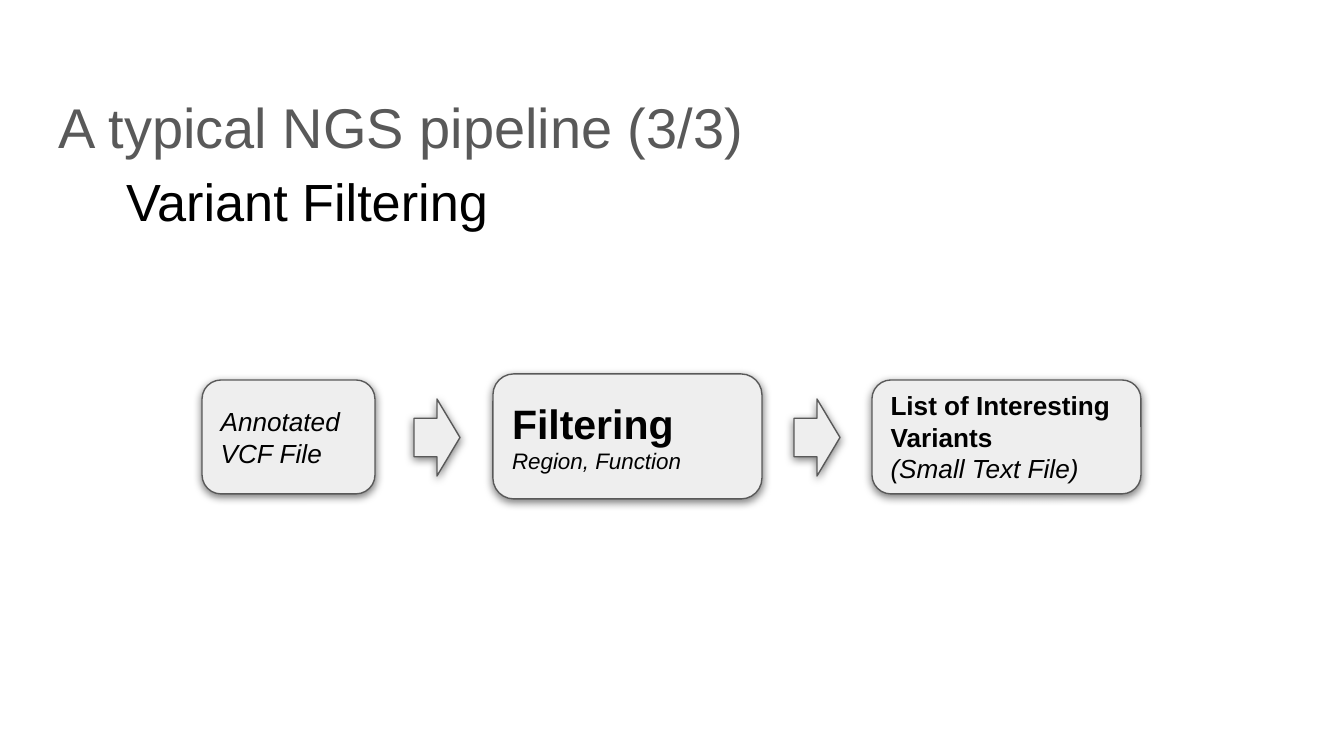
from dataclasses import dataclass
from lxml import etree
from pptx import Presentation
from pptx import util as u
from pptx.dml.color import RGBColor
from pptx.enum import shapes, text
from pptx.oxml import ns

PX = 914400 / 134.4


@dataclass(frozen=True)
class Theme:
    font: str = "Arial"
    ink: RGBColor = RGBColor(0, 0, 0)
    gray: RGBColor = RGBColor(0x59, 0x59, 0x59)
    fill: RGBColor = RGBColor(0xEE, 0xEE, 0xEE)
    title: int = 30
    subtitle: int = 28
    step: int = 22
    label: int = 14
    detail: int = 12


theme = Theme()


def px(value):
    return u.Emu(round(value * PX))


def add_block(page, kind, left, top, width, height):
    block = page.shapes.add_shape(kind, px(left), px(top), px(width), px(height))
    block.fill.solid()
    block.fill.fore_color.rgb = theme.fill
    block.line.color.rgb = theme.gray
    block.line.width = u.Pt(0.75)
    block.shadow.inherit = False
    effects = block._element.spPr.find(ns.qn("a:effectLst"))
    shadow = etree.SubElement(effects, ns.qn("a:outerShdw"), blurRad=str(u.Pt(4.5)),
                              dist=str(u.Pt(1.5)), dir="5400000", algn="bl", rotWithShape="0")
    color = etree.SubElement(shadow, ns.qn("a:srgbClr"), val=str(theme.ink))
    etree.SubElement(color, ns.qn("a:alpha"), val="50000")
    return block


deck = Presentation()
deck.slide_width, deck.slide_height = px(1344), px(756)
page = deck.slides.add_slide(deck.slide_layouts[5])

title = page.shapes.title
title.left, title.top, title.width, title.height = px(46), px(66), px(1253), px(183)
frame = title.text_frame
frame.word_wrap = True
frame.auto_size = text.MSO_AUTO_SIZE.NONE
frame.vertical_anchor = text.MSO_ANCHOR.MIDDLE
frame.margin_left = frame.margin_right = frame.margin_top = frame.margin_bottom = px(13)
para = frame.paragraphs[0]
para.alignment = text.PP_ALIGN.LEFT
para.line_spacing = 1.15
para.space_after = u.Pt(16)
para.font.name = theme.font
heading = [("A typical NGS pipeline (3/3)", theme.title, theme.gray),
           ("\tVariant Filtering", theme.subtitle, theme.ink)]
for index, (words, size, color) in enumerate(heading):
    if index:
        para.add_line_break()
    span = para.add_run()
    span.text = words
    span.font.size = u.Pt(size)
    span.font.color.rgb = color

stages = [
    (202, 380, 173, 114, [("Annotated VCF File", theme.label, False)]),
    (493, 374, 269, 125, [("Filtering", theme.step, True),
                          ("Region, Function", theme.detail, False)]),
    (872, 380, 269, 114, [("List of Interesting Variants", theme.label, True),
                          ("(Small Text File)", theme.label, False)]),
]
for left, top, width, height, lines in stages:
    box = add_block(page, shapes.MSO_SHAPE.ROUNDED_RECTANGLE, left, top, width, height)
    frame = box.text_frame
    frame.word_wrap = True
    frame.vertical_anchor = text.MSO_ANCHOR.MIDDLE
    frame.margin_left = frame.margin_right = frame.margin_top = frame.margin_bottom = px(13)
    para = frame.paragraphs[0]
    para.alignment = text.PP_ALIGN.LEFT
    para.font.name = theme.font
    para.font.color.rgb = theme.ink
    for index, (words, size, bold) in enumerate(lines):
        if index:
            para.add_line_break()
        span = para.add_run()
        span.text = words
        span.font.size = u.Pt(size)
        span.font.bold = bold
        span.font.italic = not bold

for left in (414, 794):
    add_block(page, shapes.MSO_SHAPE.RIGHT_ARROW, left, 399, 46, 77)

deck.save("out.pptx")
